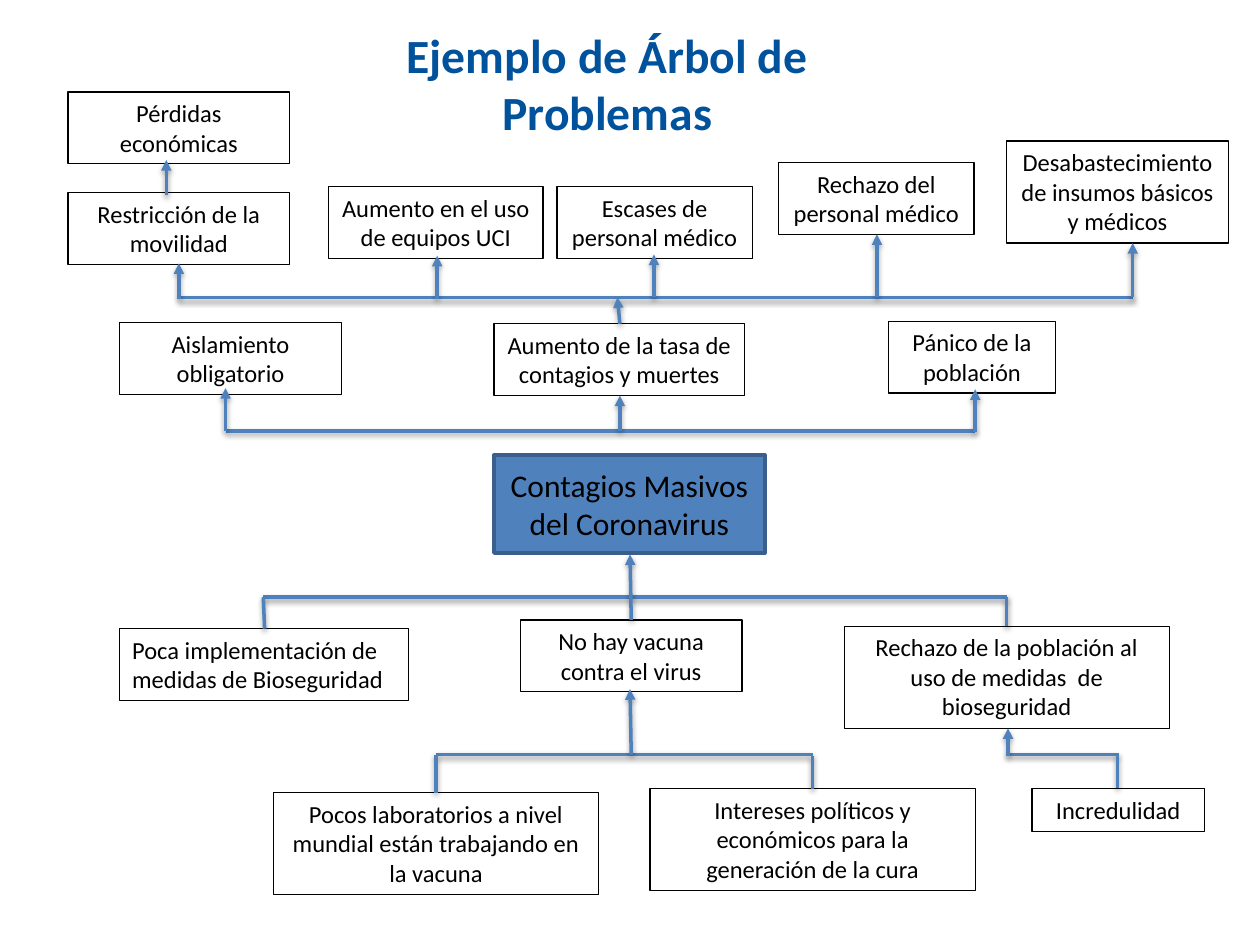
from lxml import etree
from pptx import Presentation, util as u
from pptx.dml.color import RGBColor
from pptx.enum import shapes, text
from pptx.oxml.ns import qn

PX = 9144  # 100 px to the inch
C = {"title": "00529C", "blue": "4F81BD", "edge": "3A5F8C", "black": "000000"}
CENTER, LEFT = text.PP_ALIGN.CENTER, text.PP_ALIGN.LEFT
TOP, MIDDLE, BOTTOM = (text.MSO_ANCHOR.TOP, text.MSO_ANCHOR.MIDDLE,
                       text.MSO_ANCHOR.BOTTOM)

prs = Presentation()
prs.slide_width, prs.slide_height = 1000 * PX, 750 * PX
s = prs.slides.add_slide(prs.slide_layouts[6])


def add_text(words, x, y, w, h, size=14, color="black", bold=False, align=CENTER,
             anchor=TOP, inset=(10, 5), fill=None, edge=None, edge_pt=0.75, grow=False):
    """Add a rectangle with text; without an edge colour it is a plain text box."""
    box = [v * PX for v in (x, y, w, h)]
    if edge:
        sp = s.shapes.add_shape(shapes.MSO_SHAPE.RECTANGLE, *box)
        sp.shadow.inherit = False
        sp.line.color.rgb = RGBColor.from_string(C[edge])
        sp.line.width = u.Pt(edge_pt)
        if fill:
            sp.fill.solid()
            sp.fill.fore_color.rgb = RGBColor.from_string(C[fill])
        else:
            sp.fill.background()
    else:
        sp = s.shapes.add_textbox(*box)
    tf = sp.text_frame
    tf.word_wrap = True
    tf.auto_size = (text.MSO_AUTO_SIZE.SHAPE_TO_FIT_TEXT if grow
                    else text.MSO_AUTO_SIZE.NONE)
    tf.vertical_anchor = anchor
    tf.margin_left = tf.margin_right = inset[0] * PX
    tf.margin_top = tf.margin_bottom = inset[1] * PX
    p = tf.paragraphs[0]
    p.alignment = align
    r = p.add_run()
    r.text = words
    r.font.name, r.font.size, r.font.bold = "Calibri", u.Pt(size), bold
    r.font.color.rgb = RGBColor.from_string(C[color])


def add_line(x1, y1, x2, y2, arrow=False):
    """Add a connector, which keeps the soft shadow of the theme."""
    ln = s.shapes.add_connector(shapes.MSO_CONNECTOR.STRAIGHT,
                                x1 * PX, y1 * PX, x2 * PX, y2 * PX)
    ln.line.color.rgb = RGBColor.from_string(C["blue"])
    ln.line.width = u.Pt(2)
    if arrow:
        etree.SubElement(ln.line._get_or_add_ln(), qn("a:tailEnd"), type="triangle")


add_text("Contagios Masivos del Coronavirus", 392, 361, 215, 78, size=18,
         anchor=MIDDLE, inset=(7, 4), fill="blue", edge="edge", edge_pt=2)
add_text("Ejemplo de Árbol de Problemas", 230, 30, 504, 86, size=27.2,
         color="title", bold=True, anchor=BOTTOM)

# Text, left, top, width, number of lines
boxes = [
    # Effects
    ("Pérdidas económicas", 54, 73, 176, 2),
    ("Restricción de la movilidad", 54, 153, 176, 2),
    ("Aumento en el uso de equipos UCI", 261, 148, 170, 2),
    ("Escases de personal médico", 442, 148, 155, 2),
    ("Rechazo del personal médico", 618, 129, 155, 2),
    ("Desabastecimiento de insumos básicos y médicos", 799, 112, 176, 3),
    ("Aislamiento obligatorio", 95, 256, 176, 2),
    ("Aumento de la tasa de contagios y muertes", 392, 257, 199, 2),
    ("Pánico de la población", 705, 255, 133, 2),
    # Causes
    ("Poca implementación de medidas de Bioseguridad", 95, 499, 229, 2),
    ("No hay vacuna contra el virus", 413, 492, 176, 2),
    ("Rechazo de la población al uso de medidas  de bioseguridad", 670, 497, 258, 3),
    ("Pocos laboratorios a nivel mundial están trabajando en la vacuna",
     217, 629, 258, 3),
    ("Intereses políticos y económicos para la generación de la cura",
     516, 626, 258, 3),
    ("Incredulidad", 819, 626, 137, 1),
]
heights = {1: 34, 2: 57, 3: 81}
for words, x, y, w, lines in boxes:
    add_text(words, x, y, w, heights[lines], edge="black", grow=True,
             align=LEFT if words.startswith("Poca ") else CENTER)

# Horizontal bars: left, right, height
for x1, x2, y in [(142, 899, 236), (179, 774, 342), (209, 799, 474),
                  (346, 645, 599), (799, 888, 599)]:
    add_line(x1, y, x2, y)

# Stems from the causes up to their bar
for x1, y1, x2, y2 in [(210, 499, 209, 474), (799, 497, 799, 474),
                       (346, 629, 346, 599), (645, 626, 645, 600),
                       (887, 625, 887, 599)]:
    add_line(x1, y1, x2, y2)

# Arrows up to the boxes
for x1, y1, x2, y2 in [
    (132, 155, 132, 127), (142, 237, 142, 209), (347, 237, 347, 203),
    (519, 236, 519, 202), (696, 236, 696, 186), (899, 236, 899, 193),
    (492, 257, 490, 236), (179, 342, 179, 308), (492, 342, 492, 314),
    (774, 343, 774, 309), (501, 492, 500, 440), (501, 599, 500, 547),
    (800, 600, 800, 578),
]:
    add_line(x1, y1, x2, y2, arrow=True)

prs.save("out.pptx")
